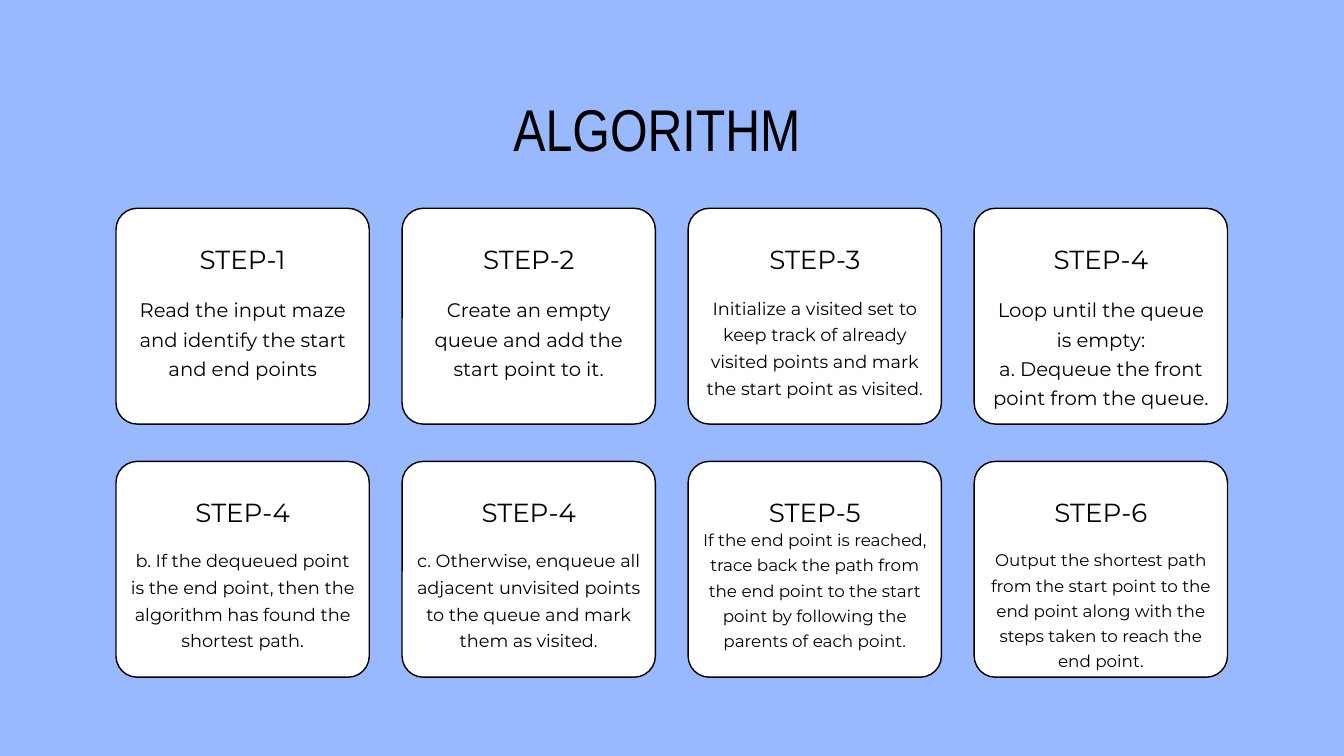
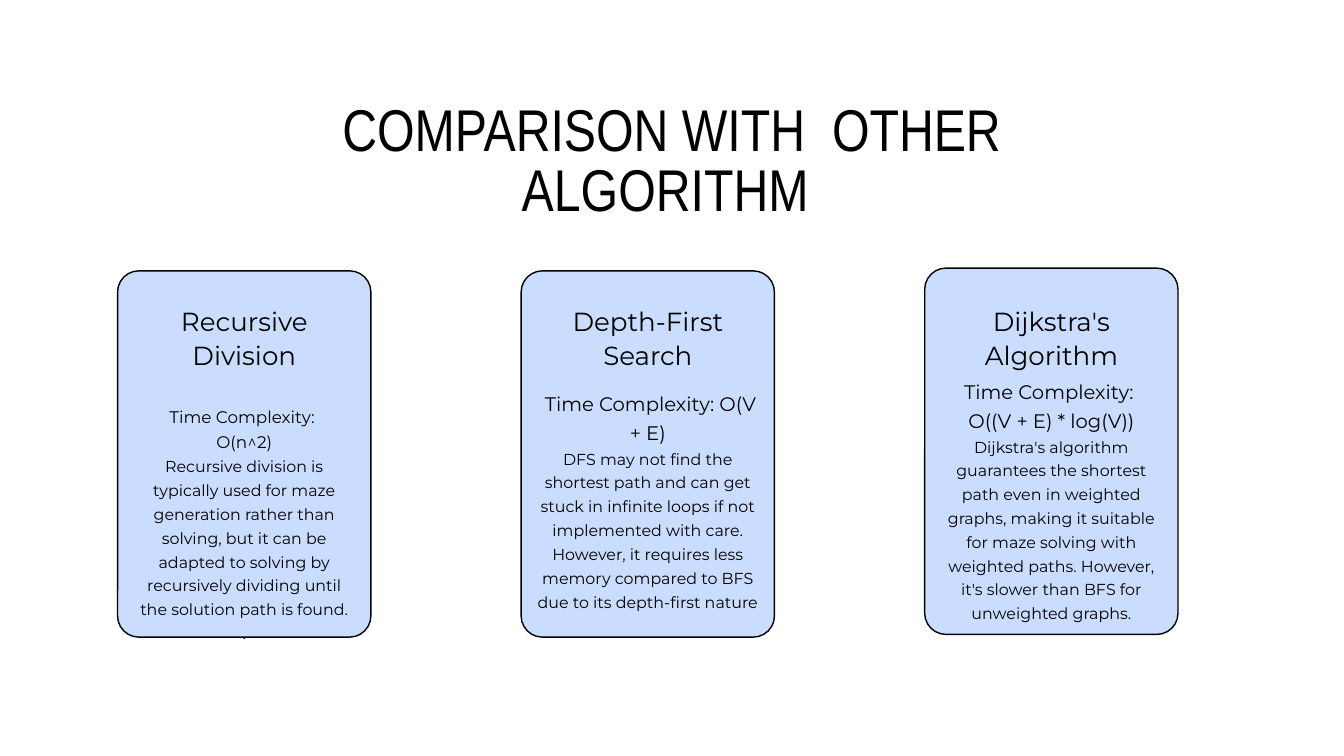
"""Build two slides about a maze-solving algorithm and its alternatives."""
import pptx
import pptx.dml.color
import pptx.enum.shapes
import pptx.enum.text
import pptx.util

Pt = pptx.util.Pt
RGBColor = pptx.dml.color.RGBColor

BLACK = RGBColor(0x00, 0x00, 0x00)
WHITE = RGBColor(0xFF, 0xFF, 0xFF)
SKY = RGBColor(0x99, 0xB9, 0xFF)
PALE_BLUE = RGBColor(0xCA, 0xDD, 0xFF)

TITLE_FONT = "Arial Narrow"
CARD_FONT = "Montserrat"
CARD_WIDTH = 271.4
CORNER_RADIUS = 22.7
CARD_MARGIN = 15.5
HEADING_SIZE = 28
HEADING_LEADING = 36.4

FRAME_FORMAT = {
    "margin_left": 0, "margin_top": 0, "margin_right": 0, "margin_bottom": 0,
    "word_wrap": True,
    "vertical_anchor": pptx.enum.text.MSO_ANCHOR.TOP,
    "auto_size": pptx.enum.text.MSO_AUTO_SIZE.SHAPE_TO_FIT_TEXT,
}

STEPS = [
    ("STEP-1", 90, 125, [("Read the input maze and identify the start and end points", 21)]),
    ("STEP-2", 90, 125, [("Create an empty queue and add the start point to it.", 21)]),
    ("STEP-3", 90, 141, [("Initialize a visited set to keep track of already visited points "
                          "and mark the start point as visited.", 19)]),
    ("STEP-4", 90, 156, [("Loop until the queue is empty:", 21),
                         ("a. Dequeue the front point from the queue.", 21)]),
    ("STEP-4", 89.5, 141, [("b. If the dequeued point is the end point, then the algorithm "
                            "has found the shortest path.", 19)]),
    ("STEP-4", 89.5, 141, [("c. Otherwise, enqueue all adjacent unvisited points to the queue "
                            "and mark them as visited.", 19)]),
    ("STEP-5", 68, 161, [("If the end point is reached, trace back the path from the end point "
                          "to the start point by following the parents of each point.", 18)]),
    ("STEP-6", 89.5, 161, [("Output the shortest path from the start point to the end point "
                            "along with the steps taken to reach the end point.", 18)]),
]

ALTERNATIVES = [
    (290.2, "Recursive Division", 140.4, 257, [
        ("Time Complexity: ", 18),
        ("O(n^2)", 18),
        ("Recursive division is typically used for maze generation rather than solving, but it "
         "can be adapted to solving by recursively dividing until the solution path is found.", 17),
        (".", 17)]),
    (290.2, "Depth-First Search", 123.1, 240, [
        (" Time Complexity: O(V + E)", 21),
        ("DFS may not find the shortest path and can get stuck in infinite loops if not "
         "implemented with care. However, it requires less memory compared to BFS due to its "
         "depth-first nature", 17)]),
    (287.3, "Dijkstra's Algorithm", 113, 266, [
        ("Time Complexity: ", 21),
        ("O((V + E) * log(V))", 21),
        ("Dijkstra's algorithm guarantees the shortest path even in weighted graphs, making it "
         "suitable for maze solving with weighted paths. However, it's slower than BFS for "
         "unweighted graphs.", 17)]),
]


def apply_format(target, values):
    """Set every named attribute of the target."""
    for attribute, value in values.items():
        setattr(target, attribute, value)


def write_lines(frame, lines, font_name):
    """Fill a text frame with centred (text, size, leading) paragraphs."""
    apply_format(frame, FRAME_FORMAT)
    for index, (text, size, leading) in enumerate(lines):
        paragraph = frame.add_paragraph() if index else frame.paragraphs[0]
        paragraph.text = text
        apply_format(paragraph, {"alignment": pptx.enum.text.PP_ALIGN.CENTER,
                                 "line_spacing": Pt(leading)})
        apply_format(paragraph.font, {"name": font_name, "size": Pt(size)})
        paragraph.font.color.rgb = BLACK


def add_titled_slide(deck, background, title, left, height):
    """Add a slide with a plain background and a large title."""
    slide = deck.slides.add_slide(deck.slide_layouts[5])
    slide.background.fill.solid()
    slide.background.fill.fore_color.rgb = background
    heading = slide.shapes.title
    apply_format(heading, {"left": Pt(left), "top": Pt(111.6),
                           "width": Pt(707), "height": Pt(height)})
    write_lines(heading.text_frame, [(title, 63.1, 63.8)], TITLE_FONT)
    return slide


def add_card(slide, box, fill, heading, heading_drop, body_drop, body_height, body):
    """Draw a rounded card with its heading and body inside the given box."""
    left, top, width, height = box
    card = slide.shapes.add_shape(pptx.enum.shapes.MSO_SHAPE.ROUNDED_RECTANGLE,
                                  Pt(left), Pt(top), Pt(width), Pt(height))
    card.shadow.inherit = False
    card.adjustments[0] = CORNER_RADIUS / min(width, height)
    card.fill.solid()
    card.fill.fore_color.rgb = fill
    card.line.color.rgb = BLACK
    card.line.width = Pt(1.5)

    heading_lines = [(heading, HEADING_SIZE, HEADING_LEADING)]
    heading_height = HEADING_LEADING * (1 + (" " in heading))
    body_lines = [(text, size, size * 1.5) for text, size in body]
    for drop, text_height, lines in ((heading_drop, heading_height, heading_lines),
                                     (body_drop, body_height, body_lines)):
        area = slide.shapes.add_textbox(Pt(left + CARD_MARGIN), Pt(top + drop),
                                        Pt(width - 2 * CARD_MARGIN), Pt(text_height))
        write_lines(area.text_frame, lines, CARD_FONT)


def build_algorithm(deck):
    """Lay out the algorithm's steps in two rows of four cards."""
    slide = add_titled_slide(deck, SKY, "ALGORITHM", 350.5, 67.7)
    for index, (heading, body_drop, body_height, body) in enumerate(STEPS):
        row, column = divmod(index, 4)
        box = (124.3 + 306.5 * column, 223.2 + 271.2 * row, CARD_WIDTH, 231.2)
        add_card(slide, box, WHITE, heading, 34.6, body_drop, body_height, body)


def build_comparison(deck):
    """Lay out the alternative algorithms as three tall cards."""
    slide = add_titled_slide(deck, WHITE, "COMPARISON WITH  OTHER ALGORITHM ", 366.5, 131)
    for column, (top, heading, body_drop, body_height, body) in enumerate(ALTERNATIVES):
        box = (126 + 432.4 * column, top, CARD_WIDTH, 392.4)
        add_card(slide, box, PALE_BLUE, heading, 324.7 - top, body_drop, body_height, body)


def main():
    """Create and save the deck."""
    deck = pptx.Presentation()
    apply_format(deck, {"slide_width": Pt(1440), "slide_height": Pt(810)})
    build_algorithm(deck)
    build_comparison(deck)
    deck.save("out.pptx")


if __name__ == "__main__":
    main()
